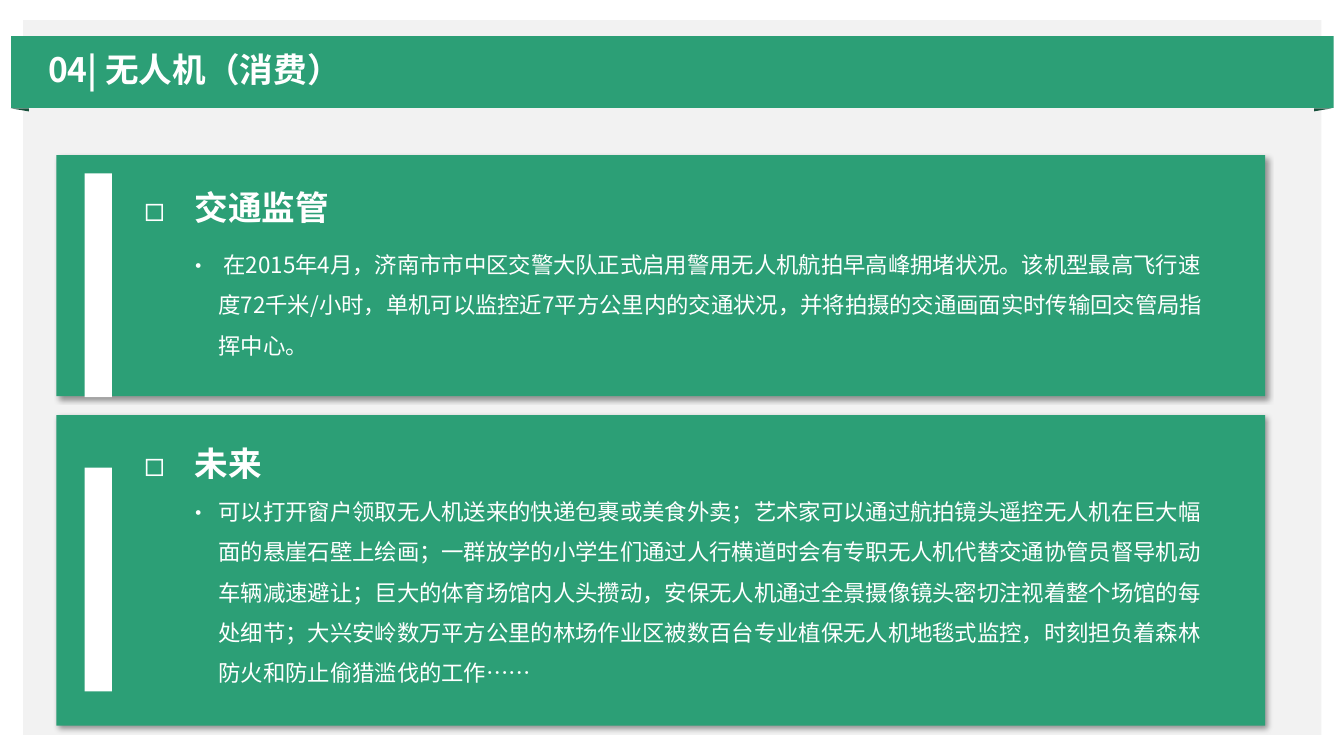
from lxml import etree
from pptx import Presentation
from pptx.dml.color import RGBColor
from pptx.enum.shapes import MSO_SHAPE
from pptx.enum.text import MSO_ANCHOR, MSO_AUTO_SIZE
from pptx.oxml.ns import qn
from pptx.util import Inches, Pt

RECT = MSO_SHAPE.RECTANGLE
WEDGE = MSO_SHAPE.ISOSCELES_TRIANGLE
MIDDLE = MSO_ANCHOR.MIDDLE
GROW = MSO_AUTO_SIZE.SHAPE_TO_FIT_TEXT

GREEN = RGBColor(0x2C, 0x9F, 0x76)
DARK = RGBColor(0x16, 0x50, 0x3B)
GREY = RGBColor(0xF2, 0xF2, 0xF2)
WHITE = RGBColor(0xFF, 0xFF, 0xFF)
FACE = "Noto Sans CJK SC"
WIDE, HIGH = Inches(13.333), Inches(7.5)

# Heading, body, then tops and heights in percent of the slide's height
CARDS = [
    ("交通监管",
     " 在2015年4月，济南市市中区交警大队正式启用警用无人机航拍早高峰拥堵状况。"
     "该机型最高飞行速度72千米/小时，单机可以监控近7平方公里内的交通状况，"
     "并将拍摄的交通画面实时传输回交管局指挥中心。",
     {"card": (20.53, 31.87), "bar": 22.93, "head": 22.53, "body": (30.8, 17.33)}),
    ("未来",
     "可以打开窗户领取无人机送来的快递包裹或美食外卖；"
     "艺术家可以通过航拍镜头遥控无人机在巨大幅面的悬崖石壁上绘画；"
     "一群放学的小学生们通过人行横道时会有专职无人机代替交通协管员督导机动车辆减速避让；"
     "巨大的体育场馆内人头攒动，安保无人机通过全景摄像镜头密切注视着整个场馆的每处细节；"
     "大兴安岭数万平方公里的林场作业区被数百台专业植保无人机地毯式监控，"
     "时刻担负着森林防火和防止偷猎滥伐的工作……",
     {"card": (54.93, 41.07), "bar": 61.87, "head": 56.27, "body": (63.47, 28)}),
]


def place(x, y, w, h):
    """Turn percent of the slide's width and height into lengths."""
    return [int(n * side / 100) for n, side in zip((x, y, w, h), (WIDE, HIGH) * 2)]


def add_block(slide, area, fill, kind=RECT):
    block = slide.shapes.add_shape(kind, *place(*area))
    block.shadow.inherit = False
    block.fill.solid()
    block.fill.fore_color.rgb = fill
    block.line.fill.background()
    return block


def add_fold(slide, x, angle, apex):
    fold = add_block(slide, (x, 13.33, 0.23, 2.4), DARK, WEDGE)
    fold.adjustments[0] = apex
    fold.rotation = angle


def add_shade(block):
    effects = block._element.spPr.find(qn("a:effectLst"))
    shade = etree.SubElement(effects, qn("a:outerShdw"), blurRad=str(Pt(4)),
                             dist=str(Pt(3)), dir="2700000", algn="tl",
                             rotWithShape="0")
    tone = etree.SubElement(shade, qn("a:srgbClr"), val="000000")
    etree.SubElement(tone, qn("a:alpha"), val="40000")


def add_text(slide, area, text, size, bold, pitch, bullet=None, indent=0):
    box = slide.shapes.add_textbox(*place(*area))
    frame = box.text_frame
    frame.word_wrap = True
    para = frame.paragraphs[0]
    para.text = text
    para.line_spacing = pitch
    if bullet:
        props = para._p.get_or_add_pPr()
        props.set("marL", str(Inches(indent)))
        props.set("indent", str(-Inches(indent)))
        etree.SubElement(props, qn("a:buFont"), typeface=FACE)
        etree.SubElement(props, qn("a:buChar"), char=bullet)
        frame.auto_size = GROW
    else:
        frame.vertical_anchor = MIDDLE
    font = para.font
    font.size, font.bold, font.name = Pt(size), bold, FACE
    font.color.rgb = WHITE
    # East Asian glyphs take their face from a separate element
    etree.SubElement(para._p.pPr.find(qn("a:defRPr")), qn("a:ea"), typeface=FACE)


def add_banner(slide, title):
    add_block(slide, (0.83, 4.8, 98.4, 9.47), GREEN)
    add_fold(slide, 1.35, 270, 1)
    add_fold(slide, 98.33, 90, 0)
    add_text(slide, (2.85, 6.13, 93.9, 6.8), title, 24, True, 0.9)


def add_card(slide, head, body, rows):
    top, tall = rows["card"]
    add_shade(add_block(slide, (4.2, top, 89.93, tall), GREEN))
    add_block(slide, (6.3, rows["bar"], 2.03, 29.6), WHITE)
    add_text(slide, (9.98, rows["head"], 50.33, 8.27), head, 24, True, 1.3, "◻", 0.5)
    top, tall = rows["body"]
    add_text(slide, (13.2, top, 77.7, tall), body, 16, False, 1.5, "•", 0.31)


def main():
    deck = Presentation()
    deck.slide_width, deck.slide_height = WIDE, HIGH
    slide = deck.slides.add_slide(deck.slide_layouts[6])
    # Backdrop and banner
    add_block(slide, (1.73, 2.67, 96.6, 94.53), GREY)
    add_banner(slide, "04| 无人机（消费）")
    # Topic cards
    for head, body, rows in CARDS:
        add_card(slide, head, body, rows)
    deck.save("out.pptx")


if __name__ == "__main__":
    main()
